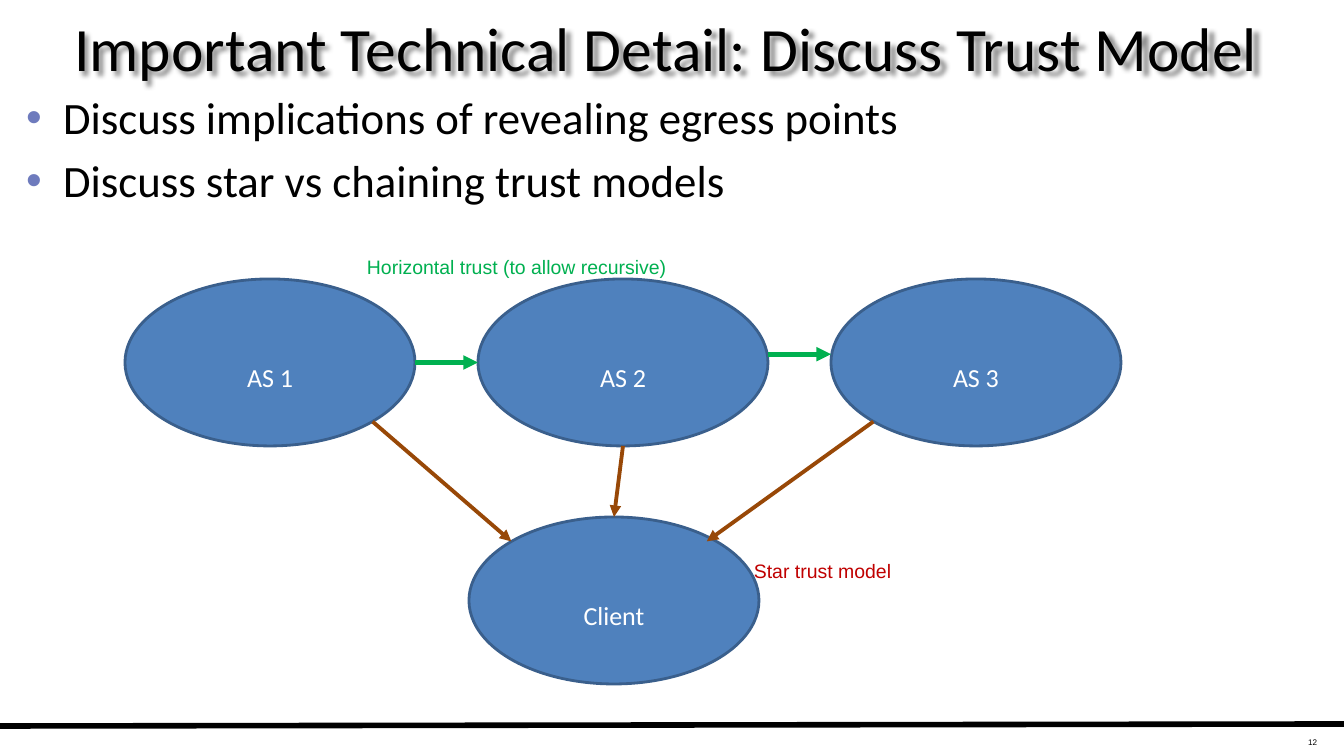
from lxml.etree import SubElement
from pptx import Presentation
from pptx.dml.color import RGBColor
from pptx.enum.shapes import MSO_CONNECTOR as Connector, MSO_SHAPE as Preset
from pptx.enum.text import MSO_ANCHOR as Anchor, MSO_AUTO_SIZE as AutoSize, PP_ALIGN as Align
from pptx.oxml.ns import qn
from pptx.util import Emu, Pt

SCALE = 914400 / 100.8
BLACK, WHITE, BLUE, NAVY = "000000", "FFFFFF", "4F81BD", "3A5F8C"
GREEN, BROWN, RED, BULLET = "00B050", "984807", "C00000", "6E7BBD"
OVAL_WIDTH, OVAL_HEIGHT, OVAL_STEP = 290, 167, 353
NEAR, FAR = 0.146, 0.854


def px(length):
    """Turn pixels into EMU."""
    return Emu(round(length * SCALE))


def colour(code):
    """Turn a hex string into a colour."""
    return RGBColor.from_string(code)


def add_element(parent, tag, **attributes):
    """Append a drawing element with the given attributes."""
    return SubElement(parent, qn(tag), attributes)


def place(shape, box):
    """Move a shape to a box of left, top, width and height."""
    shape.left, shape.top, shape.width, shape.height = map(px, box)


def write(para, text, size, code, font="Calibri", align=Align.LEFT, lowered=False):
    """Fill a paragraph with one formatted span."""
    span = para.add_run()
    span.text = text
    para.alignment = align
    para.font.name, para.font.size = font, Pt(size)
    para.font.color.rgb = colour(code)
    if lowered:
        span.font._element.set("baseline", "-25000")


def add_title(page, box, text):
    """Set the centred title with its soft shadow."""
    title = page.shapes.title
    place(title, box)
    frame = title.text_frame
    frame.auto_size, frame.vertical_anchor = AutoSize.NONE, Anchor.MIDDLE
    write(frame.paragraphs[0], text, 44, BLACK, align=Align.CENTER)
    effects = add_element(title._element.spPr, "a:effectLst")
    shadow = add_element(effects, "a:outerShdw", blurRad="38100", dist="38100",
                         dir="2700000", algn="tl")
    shade = add_element(shadow, "a:srgbClr", val=BLACK)
    add_element(shade, "a:alpha", val="43000")


def add_list(page, box, items):
    """Set the bulleted list in the body placeholder."""
    body = page.placeholders[1]
    place(body, box)
    frame = body.text_frame
    frame.auto_size = AutoSize.NONE
    for index, item in enumerate(items):
        para = frame.add_paragraph() if index else frame.paragraphs[0]
        para.space_before = Pt(6.4)
        settings = para._p.get_or_add_pPr()
        settings.set("marL", str(px(37)))
        settings.set("indent", str(px(-37)))
        tint = add_element(settings, "a:buClr")
        add_element(tint, "a:srgbClr", val=BULLET)
        add_element(settings, "a:buFont", typeface="Arial")
        add_element(settings, "a:buChar", char="•")
        write(para, item, 32, BLACK)


def add_label(page, box, text, size, code, align=Align.LEFT):
    """Add a lowered Arial label."""
    label = page.shapes.add_textbox(*map(px, box))
    label.text_frame.word_wrap = True
    write(label.text_frame.paragraphs[0], text, size, code, "Arial", align, True)


def add_oval(page, left, top, text):
    """Add a named oval and return its box."""
    box = (left, top, OVAL_WIDTH, OVAL_HEIGHT)
    oval = page.shapes.add_shape(Preset.OVAL, *map(px, box))
    oval.shadow.inherit = False
    oval.fill.solid()
    oval.fill.fore_color.rgb = colour(BLUE)
    oval.line.color.rgb, oval.line.width = colour(NAVY), Pt(2)
    oval.text_frame.vertical_anchor = Anchor.MIDDLE
    write(oval.text_frame.paragraphs[0], text, 32, WHITE, align=Align.CENTER, lowered=True)
    return box


def point(box, across, down):
    """Return the point at the given fractions of a box."""
    left, top, width, height = box
    return left + across * width, top + down * height


def add_line(page, start, end, code, width, arrow=True):
    """Add a straight line, with an arrowhead at its end if wanted."""
    line = page.shapes.add_connector(Connector.STRAIGHT, *map(px, start + end))
    line.line.color.rgb, line.line.width = colour(code), Pt(width)
    if arrow:
        add_element(line.line._get_or_add_ln(), "a:tailEnd", type="triangle")
    add_element(line._element.spPr, "a:effectLst")


def add_trust_diagram(page, left, top):
    """Draw three systems in a row, the client below and the trust arrows."""
    first, second, third = [
        add_oval(page, left + index * OVAL_STEP, top, f"AS {index + 1}") for index in range(3)
    ]
    client = add_oval(page, left + 344, top + 238, "Client")
    add_line(page, point(first, 1, 0.5), point(second, 0, 0.5), GREEN, 3.5)
    add_line(page, point(second, 1, 0.45), point(third, 0, 0.45), GREEN, 3.5)
    add_line(page, point(first, FAR, FAR), point(client, NEAR, NEAR), BROWN, 2.75)
    add_line(page, point(second, 0.5, 1), point(client, 0.5, 0), BROWN, 2.75)
    add_line(page, point(third, NEAR, FAR), point(client, 0.82, NEAR), BROWN, 2.75)
    add_label(page, (left + 232, top - 51, 543, 50), "Horizontal trust (to allow recursive)", 24, GREEN)
    add_label(page, (left + 619, top + 253, 260, 50), "Star trust model", 24, RED)


def add_footer(page, box, number):
    """Draw the bottom rule and the page number."""
    left, top, width, height = box
    add_line(page, (left, top + 2), (left + width, top), BLACK, 4, arrow=False)
    add_label(page, (left + width - 297, top - 1, 280, height), number, 10, BLACK, Align.RIGHT)


def main():
    """Build the slide and save it."""
    deck = Presentation()
    deck.slide_width, deck.slide_height = px(1344), px(756)
    page = deck.slides.add_slide(deck.slide_layouts[1])
    add_footer(page, (0, 724, 1344, 32), "12")
    add_title(page, (37, 9, 1259, 76), "Important Technical Detail: Discuss Trust Model")
    add_list(page, (16, 85, 1301, 588), [
        "Discuss implications of revealing egress points",
        "Discuss star vs chaining trust models",
    ])
    add_trust_diagram(page, 125, 279)
    deck.save("out.pptx")


if __name__ == "__main__":
    main()
